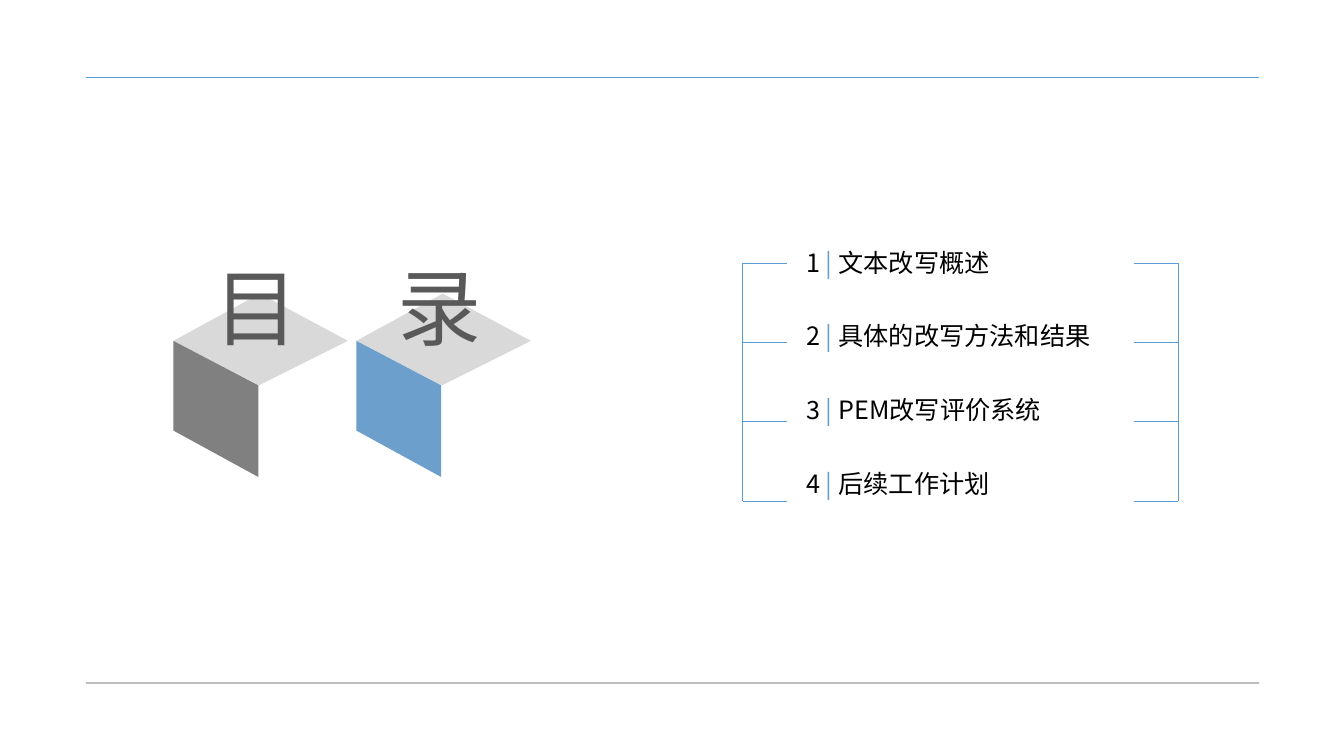
from dataclasses import dataclass

from pptx import Presentation
from pptx.dml.color import RGBColor
from pptx.enum.shapes import MSO_CONNECTOR
from pptx.enum.text import MSO_ANCHOR, MSO_AUTO_SIZE, PP_ALIGN
from pptx.oxml.ns import qn
from pptx.util import Cm, Pt

STRAIGHT = MSO_CONNECTOR.STRAIGHT
TOP = MSO_ANCHOR.TOP
LEFT = PP_ALIGN.LEFT
NO_AUTOFIT = MSO_AUTO_SIZE.NONE


@dataclass
class Theme:
    font: str = "Noto Sans CJK SC"
    title_size: int = 60
    item_size: int = 18
    title: str = "595959"
    text: str = "000000"
    blue: str = "6D9FCC"
    gray: str = "808080"
    cube_top: str = "D9D9D9"
    line: str = "5B9BD5"
    footer_line: str = "BEBEBE"


theme = Theme()


def add_run(para, text, size, color):
    run = para.add_run()
    run.text = text
    run.font.size = Pt(size)
    run.font.name = theme.font
    run.font.color.rgb = RGBColor.from_string(color)
    properties = run.font._element
    east_asian = properties.makeelement(qn("a:ea"), {"typeface": theme.font})
    properties.find(qn("a:latin")).addnext(east_asian)
    return run


def add_line(x1, y1, x2, y2, color, width):
    line = slide.shapes.add_connector(STRAIGHT, Cm(x1), Cm(y1), Cm(x2), Cm(y2))
    line.line.color.rgb = RGBColor.from_string(color)
    line.line.width = Pt(width)
    properties = line._element.spPr
    properties.append(properties.makeelement(qn("a:effectLst"), {}))


deck = Presentation()
deck.slide_width, deck.slide_height = Cm(33.87), Cm(19.05)
slide = deck.slides.add_slide(deck.slide_layouts[1])
title, agenda = slide.placeholders[0], slide.placeholders[1]

# Header and footer rules
add_line(2.16, 1.96, 31.72, 1.96, theme.line, 0.5)
add_line(2.16, 17.2, 31.72, 17.2, theme.footer_line, 1.5)

# Cubes: outlines measured from the left corner
top_face = [(0, 0), (2.18, -1.19), (4.4, 0), (2.16, 1.12)]
front_face = [(0, 0), (2.14, 1.12), (2.14, 3.43), (0, 2.26)]
cube_y = 8.59
for cube_x, front_color in [(4.37, theme.gray), (8.98, theme.blue)]:
    for face, color in [(top_face, theme.cube_top), (front_face, front_color)]:
        points = [(Cm(cube_x + x), Cm(cube_y + y)) for x, y in face]
        builder = slide.shapes.build_freeform(*points[0])
        builder.add_line_segments(points[1:], close=True)
        shape = builder.convert_to_shape()
        shape.shadow.inherit = False
        shape.fill.solid()
        shape.fill.fore_color.rgb = RGBColor.from_string(color)
        shape.line.fill.background()

# Title: in front of the cubes, one character above each
slide.shapes._spTree.append(title._element)
title.left, title.top, title.width, title.height = Cm(5.16), Cm(6.32), Cm(9.8), Cm(2.82)
frame = title.text_frame
frame.auto_size = NO_AUTOFIT
frame.vertical_anchor = TOP
para = frame.paragraphs[0]
para.alignment = LEFT
run = add_run(para, "目录", theme.title_size, theme.title)
run.font._element.set("spc", "7030")

# Agenda
items = ["文本改写概述", "具体的改写方法和结果", "PEM改写评价系统", "后续工作计划"]
agenda.left, agenda.top, agenda.width, agenda.height = Cm(19.94), Cm(5.84), Cm(8.59), Cm(7.6)
frame = agenda.text_frame
frame.auto_size = NO_AUTOFIT
frame.vertical_anchor = TOP
frame.margin_left = frame.margin_right = Cm(0.38)
frame.margin_top = frame.margin_bottom = Cm(0.38)
for number, item in enumerate(items, 1):
    para = frame.paragraphs[0] if number == 1 else frame.add_paragraph()
    para.alignment = LEFT
    para.space_before = Pt(0)
    para.space_after = Pt(31)
    properties = para._p.get_or_add_pPr()
    properties.set("marL", "0")
    properties.set("indent", "0")
    properties.append(properties.makeelement(qn("a:buNone"), {}))
    add_run(para, f"{number} ", theme.item_size, theme.text)
    add_run(para, "| ", theme.item_size, theme.blue)
    add_run(para, item, theme.item_size, theme.text)

# Brackets: a spine with one stub per agenda item
row_ys = [6.63 + 2 * row for row in range(len(items))]
for spine_x, stub_x in [(18.72, 19.84), (29.69, 28.57)]:
    add_line(spine_x, row_ys[0], spine_x, row_ys[-1], theme.line, 0.5)
    for row_y in row_ys:
        add_line(stub_x, row_y, spine_x, row_y, theme.line, 0.5)

deck.save("out.pptx")
